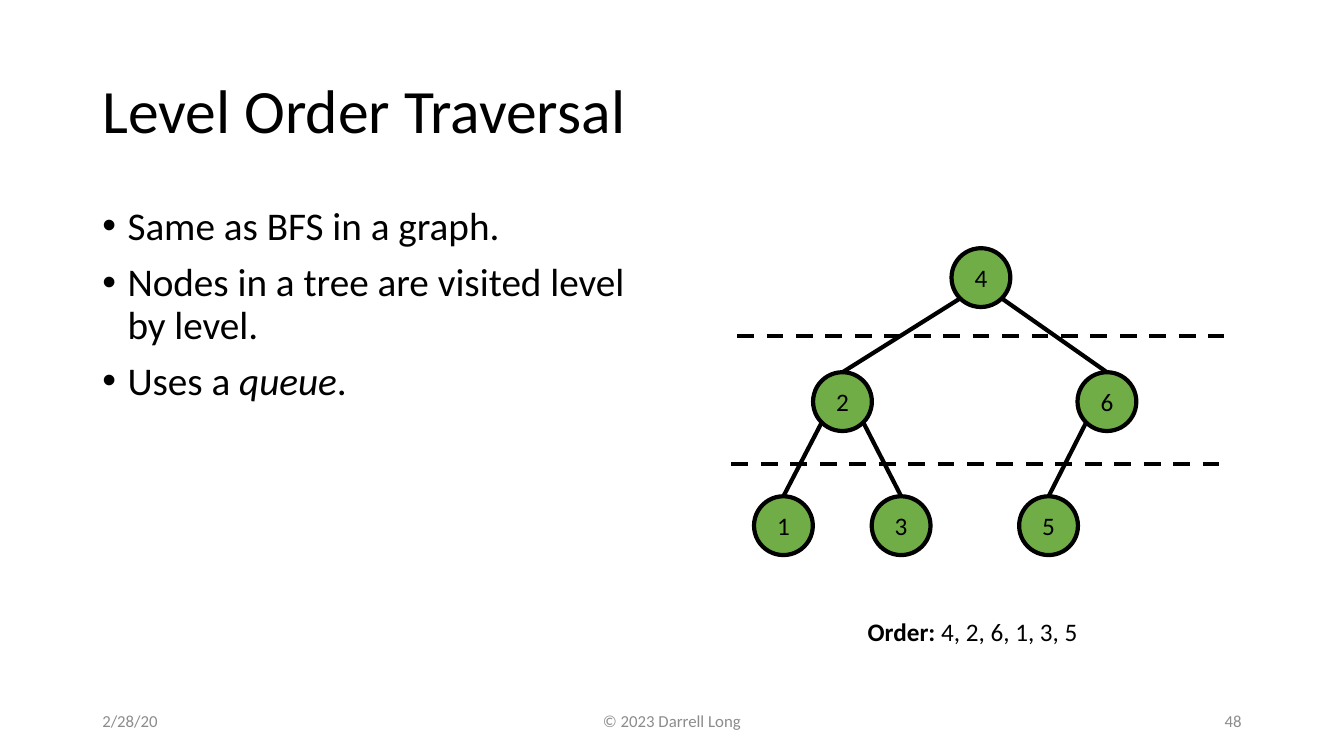
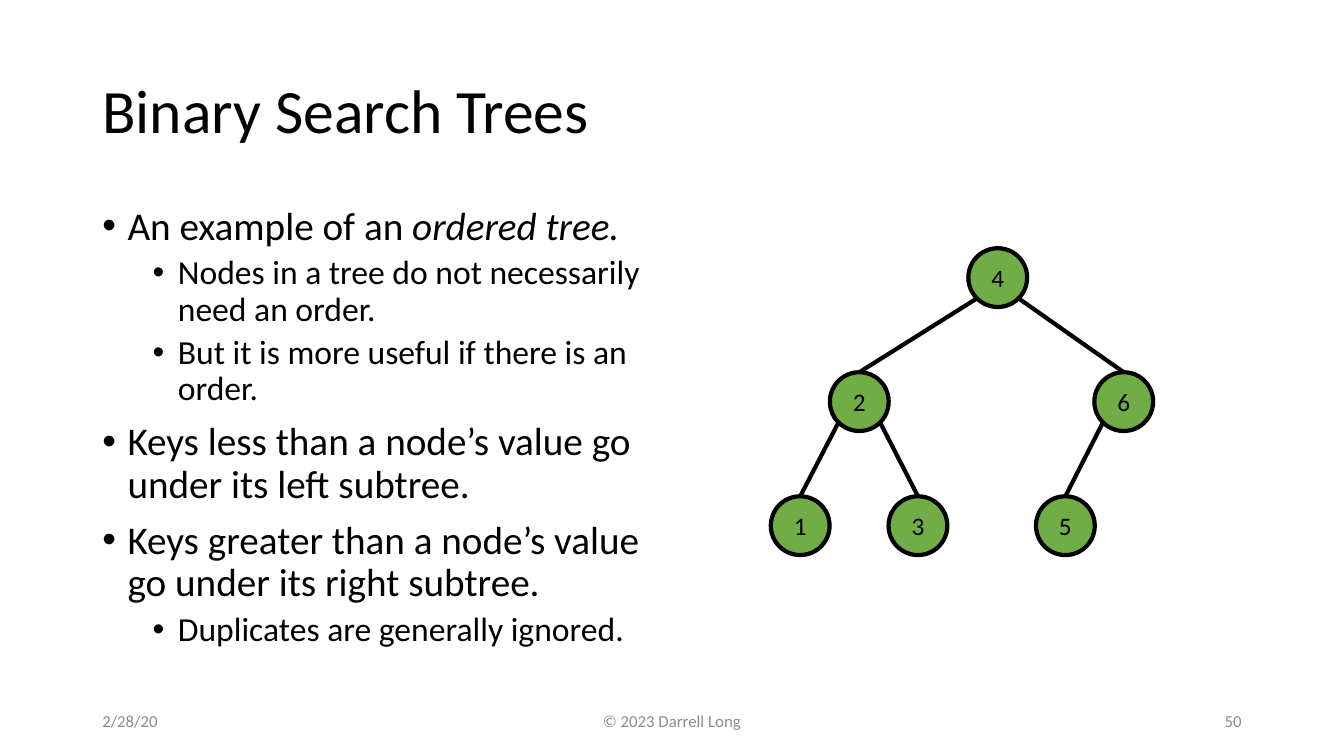
from math import sqrt

from lxml import etree
from pptx import Presentation
from pptx.dml.color import RGBColor
from pptx.enum.dml import MSO_LINE
from pptx.enum.shapes import MSO_CONNECTOR, MSO_SHAPE
from pptx.enum.text import MSO_ANCHOR, PP_ALIGN
from pptx.oxml.ns import qn
from pptx.util import Pt

LEFT, CENTER, RIGHT = PP_ALIGN.LEFT, PP_ALIGN.CENTER, PP_ALIGN.RIGHT
TOP, MIDDLE = MSO_ANCHOR.TOP, MSO_ANCHOR.MIDDLE
STRAIGHT, OVAL, DASH = MSO_CONNECTOR.STRAIGHT, MSO_SHAPE.OVAL, MSO_LINE.DASH

FONT = "Calibri"
BLACK, GRAY, GREEN = "000000", "8C8C8C", "70AD47"
LINE_WIDTH = 3
MARGIN = 66

NODE_SIZE = 42
TREE_TOP = 177.3
LEVEL_STEP = 88.6
NODES = {
    "4": (141.1, 0),
    "2": (42.2, 1),
    "6": (231.1, 1),
    "1": (0, 2),
    "3": (84.1, 2),
    "5": (189.4, 2),
}
EDGES = [("2", "1", -1), ("2", "3", 1), ("4", "2", -1), ("4", "6", 1), ("6", "5", -1)]

LEVELS = [(28, 10, 18), (24, 5, 54)]
HANGING = 18


def color(hex_string):
    return RGBColor.from_string(hex_string)


def add_run(p, text, size=18, fill=BLACK, bold=False, italic=False):
    r = p.add_run()
    r.text = text
    r.font.name = FONT
    r.font.size = Pt(size)
    r.font.bold = bold
    r.font.italic = italic
    r.font.color.rgb = color(fill)


def add_box(s, x, y, w, h, anchor=TOP):
    tf = s.shapes.add_textbox(Pt(x), Pt(y), Pt(w), Pt(h)).text_frame
    tf.word_wrap = True
    tf.vertical_anchor = anchor
    return tf


def add_label(s, x, y, w, h, text, align=LEFT, spacing=1.0, **fmt):
    p = add_box(s, x, y, w, h, MIDDLE).paragraphs[0]
    p.alignment = align
    p.line_spacing = spacing
    add_run(p, text, **fmt)


def set_bullet(p, indent):
    pPr = p._p.get_or_add_pPr()
    pPr.set("marL", str(Pt(indent)))
    pPr.set("indent", str(Pt(-HANGING)))
    etree.SubElement(pPr, qn("a:buFont")).set("typeface", "Arial")
    etree.SubElement(pPr, qn("a:buChar")).set("char", "•")


def add_bullets(s, width, items):
    tf = add_box(s, MARGIN, 144, width, 342.7)
    for i, (level, *runs) in enumerate(items):
        p = tf.add_paragraph() if i else tf.paragraphs[0]
        size, before, indent = LEVELS[level]
        p.level = level
        set_bullet(p, indent)
        p.line_spacing = 0.9
        p.space_before = Pt(before if i else 0)
        for text, italic in runs:
            add_run(p, text, size=size, italic=italic)


def add_line(s, x1, y1, x2, y2, dash=None):
    line = s.shapes.add_connector(STRAIGHT, Pt(x1), Pt(y1), Pt(x2), Pt(y2))
    line.line.color.rgb = color(BLACK)
    line.line.width = Pt(LINE_WIDTH)
    if dash:
        line.line.dash_style = dash
    etree.SubElement(line._element.spPr, qn("a:effectLst"))
    return line


def add_node(s, x, y, key):
    sp = s.shapes.add_shape(OVAL, Pt(x), Pt(y), Pt(NODE_SIZE), Pt(NODE_SIZE))
    sp.shadow.inherit = False
    sp.fill.solid()
    sp.fill.fore_color.rgb = color(GREEN)
    sp.line.color.rgb = color(BLACK)
    sp.line.width = Pt(LINE_WIDTH)
    tf = sp.text_frame
    tf.vertical_anchor = MIDDLE
    p = tf.paragraphs[0]
    p.alignment = CENTER
    add_run(p, key)
    return sp


def add_tree(s, left):
    radius = NODE_SIZE / 2
    diagonal = radius / sqrt(2)
    centers, shapes = {}, {}
    for key, (dx, level) in NODES.items():
        x, y = left + dx, TREE_TOP + level * LEVEL_STEP
        centers[key] = (x + radius, y + radius)
        shapes[key] = add_node(s, x, y, key)
    for parent, child, side in EDGES:
        px, py = centers[parent]
        cx, cy = centers[child]
        edge = add_line(s, px + side * diagonal, py + diagonal, cx, cy - radius)
        edge.end_connect(shapes[child], 0)


def add_slide(prs, title, number):
    s = prs.slides.add_slide(prs.slide_layouts[6])
    add_label(s, MARGIN, 28.8, 828, 104.4, title, spacing=0.9, size=44)
    footers = [
        (MARGIN, 216, "2/28/20", LEFT),
        (318, 324, "© 2023 Darrell Long", CENTER),
        (678, 216, number, RIGHT),
    ]
    for x, w, text, align in footers:
        add_label(s, x, 500.5, w, 28.8, text, align, size=12, fill=GRAY)
    return s


def add_traversal_slide(prs):
    s = add_slide(prs, "Level Order Traversal", "48")
    add_bullets(s, 406, [
        (0, ("Same as BFS in a graph.", False)),
        (0, ("Nodes in a tree are visited level by level.", False)),
        (0, ("Uses a ", False), ("queue", True), (".", False)),
    ])
    add_tree(s, 538.6)
    for x, y in [(526.5, 240), (522.5, 331.5)]:
        add_line(s, x, y, x + 348, y, DASH)
    p = add_box(s, 612.7, 437, 175.7, 29).paragraphs[0]
    add_run(p, "Order: ", bold=True)
    add_run(p, "4, 2, 6, 1, 3, 5")


def add_search_tree_slide(prs):
    s = add_slide(prs, "Binary Search Trees", "50")
    add_bullets(s, 414, [
        (0, ("An example of an ", False), ("ordered tree.", True)),
        (1, ("Nodes in a tree do not necessarily need an order.", False)),
        (1, ("But it is more useful if there is an order.", False)),
        (0, ("Keys less than a node’s value go under its left subtree.", False)),
        (0, ("Keys greater than a node’s value go under its right subtree.", False)),
        (1, ("Duplicates are generally ignored.", False)),
    ])
    add_tree(s, 550.6)


def main():
    prs = Presentation()
    prs.slide_width, prs.slide_height = Pt(960), Pt(540)
    add_traversal_slide(prs)
    add_search_tree_slide(prs)
    prs.save("out.pptx")


if __name__ == "__main__":
    main()
